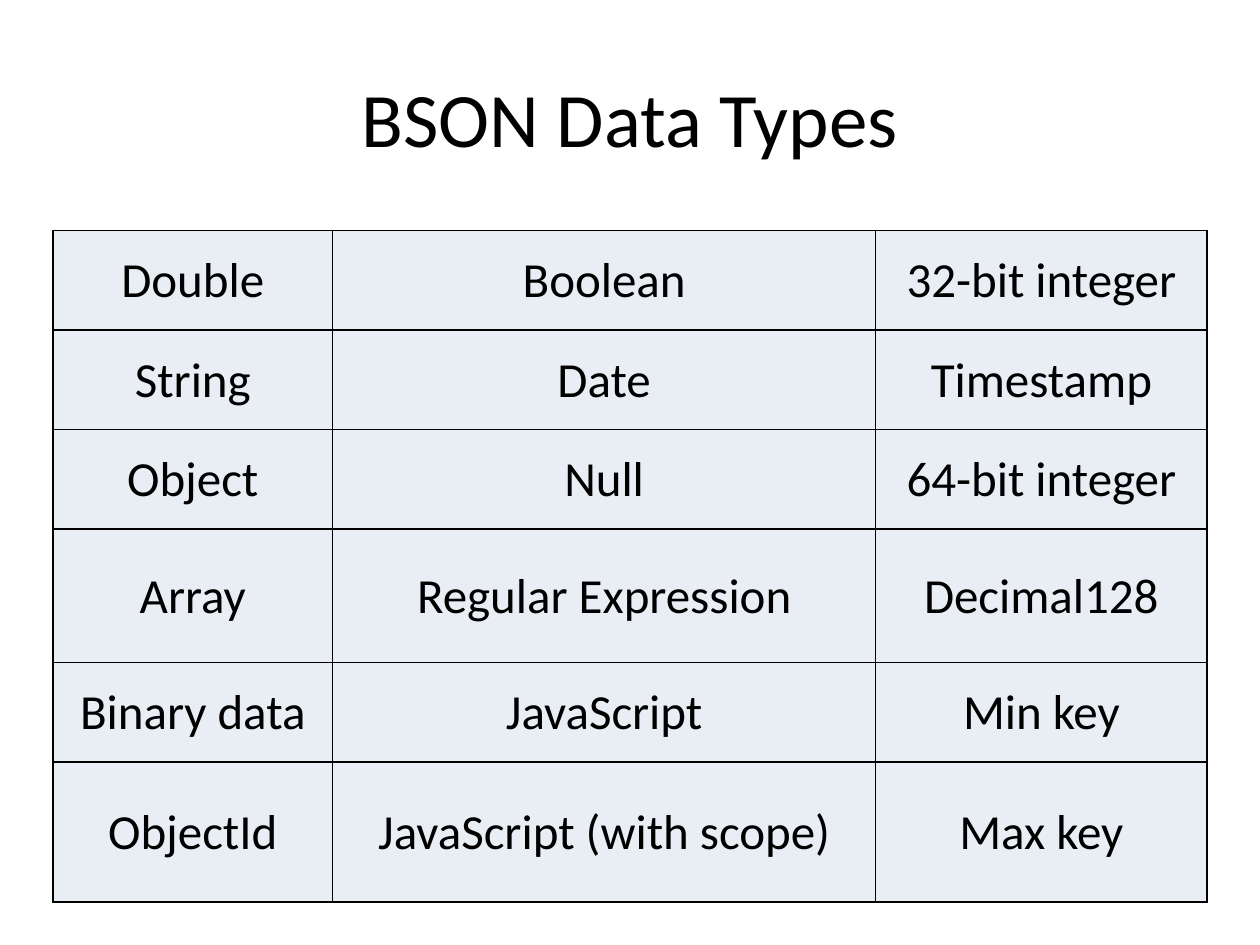
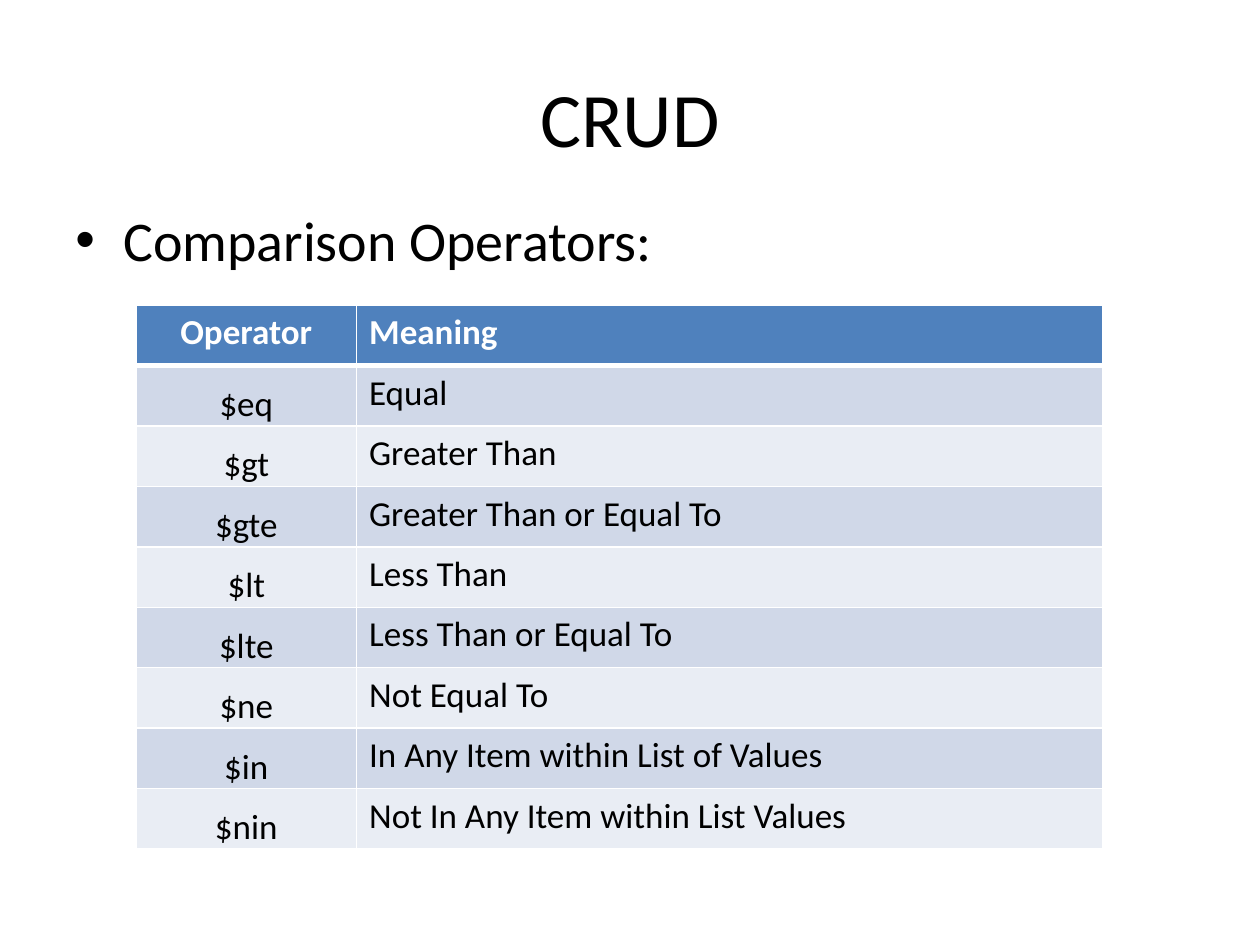
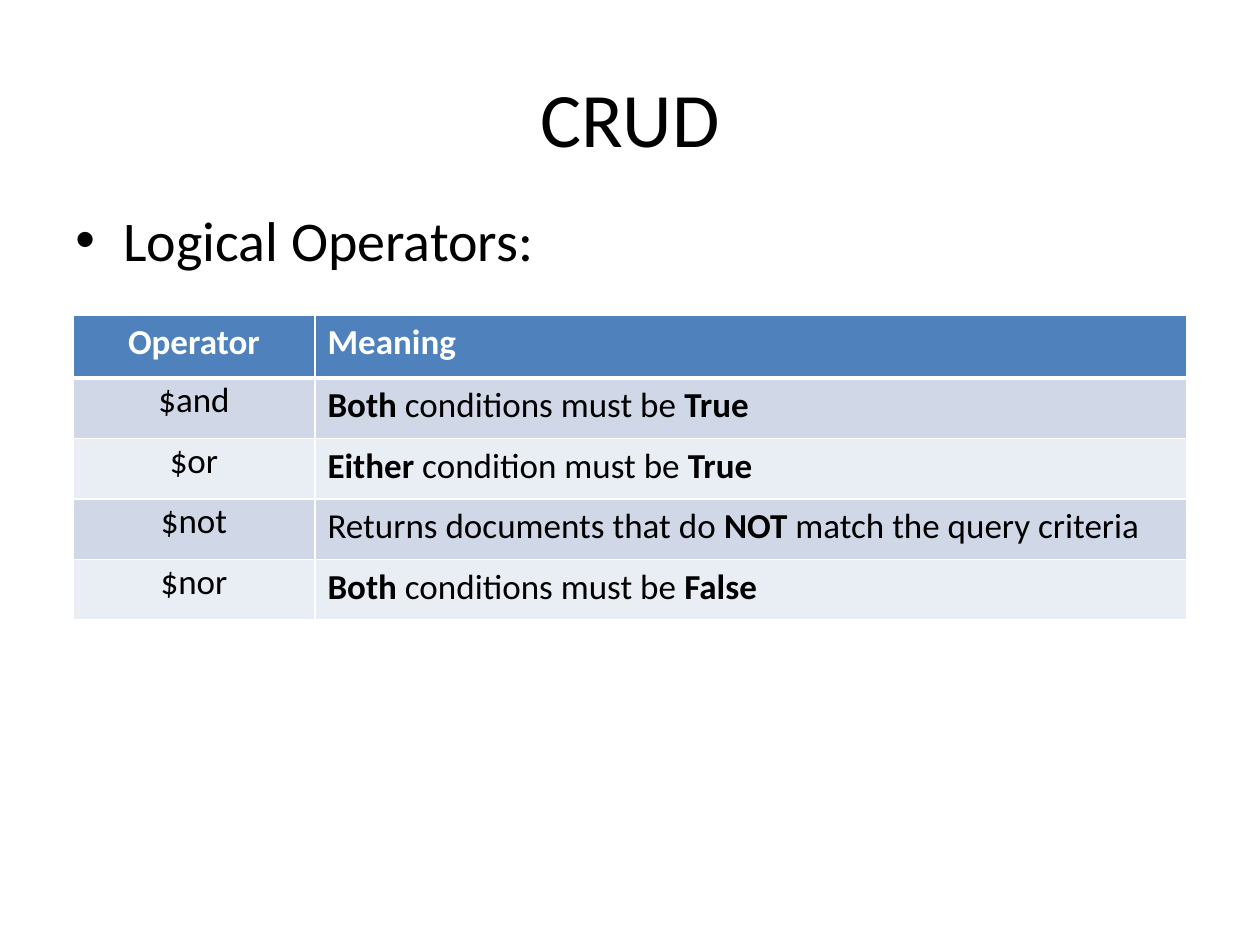
from dataclasses import dataclass

from lxml.etree import SubElement
from pptx import Presentation
from pptx.dml.color import RGBColor
from pptx.enum.text import MSO_ANCHOR, PP_ALIGN
from pptx.oxml import parse_xml
from pptx.oxml.ns import nsdecls, qn
from pptx.slide import Slide
from pptx.table import Table, _Cell
from pptx.text.text import Font, _Paragraph
from pptx.util import Inches, Pt

COLORS = {
    "text": "000000",
    "white": "FFFFFF",
    "header": "4F81BD",
    "dark_band": "D0D8E8",
    "light_band": "E9EDF4",
}
FONT = "Calibri"
TITLE_ONLY = 5
BOLD_MARK = "**"


@dataclass(frozen=True)
class CellStyle:
    align: PP_ALIGN = PP_ALIGN.LEFT
    anchor: MSO_ANCHOR = MSO_ANCHOR.TOP
    tight: bool = False


@dataclass(frozen=True)
class Grid:
    left: float
    top: float
    widths: tuple[float, ...]
    heights: tuple[float, ...]
    rows: tuple[tuple[str, ...], ...]
    columns: tuple[CellStyle, ...]
    size: int
    border: str
    has_header: bool


@dataclass(frozen=True)
class Topic:
    title: str
    grid: Grid
    bullet: str = ""


MEANING = CellStyle()
HEADINGS = ("Operator", "Meaning")
HEADING_STYLES = (CellStyle(PP_ALIGN.CENTER), MEANING)
DATA_TYPE = CellStyle(PP_ALIGN.CENTER, MSO_ANCHOR.MIDDLE, tight=True)


def operator_grid(left: float, top: float, widths: tuple[float, float], header_height: float,
                  anchor: MSO_ANCHOR, operators: tuple[tuple[str, str], ...]) -> Grid:
    operator = CellStyle(PP_ALIGN.CENTER, anchor, tight=True)
    return Grid(left, top, widths, (header_height,) + (0.48,) * len(operators),
                (HEADINGS,) + operators, (operator, MEANING), 20, "white", True)


TOPICS = (
    Topic("BSON Data Types", Grid(
        0.42, 1.83, (2.22, 4.31, 2.63), (0.79, 0.79, 0.79, 1.06, 0.79, 1.11),
        (
            ("Double", "Boolean", "32-bit integer"),
            ("String", "Date", "Timestamp"),
            ("Object", "Null", "64-bit integer"),
            ("Array", "Regular Expression", "Decimal128"),
            ("Binary data", "JavaScript", "Min key"),
            ("ObjectId", "JavaScript (with scope)", "Max key"),
        ),
        (DATA_TYPE,) * 3, 28, "text", False)),
    Topic("CRUD", operator_grid(
        1.08, 2.42, (1.75, 5.92), 0.48, MSO_ANCHOR.BOTTOM,
        (
            ("$eq", "Equal"),
            ("$gt", "Greater Than"),
            ("$gte", "Greater Than or Equal To"),
            ("$lt", "Less Than"),
            ("$lte", "Less Than or Equal To"),
            ("$ne", "Not Equal To"),
            ("$in", "In Any Item within List of Values"),
            ("$nin", "Not In Any Item within List Values"),
        )), "Comparison Operators:"),
    Topic("CRUD", operator_grid(
        0.58, 2.5, (1.92, 6.92), 0.5, MSO_ANCHOR.TOP,
        (
            ("$and", "**Both** conditions must be **True**"),
            ("$or", "**Either** condition must be **True**"),
            ("$not", "Returns documents that do **NOT** match the query criteria"),
            ("$nor", "**Both** conditions must be **False**"),
        )), "Logical Operators:"),
)


def style_font(font: Font, size: int, color: str = "text", bold: bool = False) -> None:
    font.name = FONT
    font.size = Pt(size)
    font.bold = bold
    font.color.rgb = RGBColor.from_string(COLORS[color])


def write_marked(paragraph: _Paragraph, text: str, size: int, color: str, bold: bool) -> None:
    """Write text whose parts between bold marks are bold."""
    for index, part in enumerate(text.split(BOLD_MARK)):
        if part:
            run = paragraph.add_run()
            run.text = part
            style_font(run.font, size, color, bold or index % 2 == 1)


def set_borders(cell: _Cell, color: str, top: int, bottom: int) -> None:
    properties = cell._tc.get_or_add_tcPr()
    edges = {"lnL": 1, "lnR": 1, "lnT": top, "lnB": bottom}
    for position, (edge, points) in enumerate(edges.items()):
        properties.insert(position, parse_xml(
            f'<a:{edge} {nsdecls("a")} w="{Pt(points)}"><a:solidFill>'
            f'<a:srgbClr val="{COLORS[color]}"/></a:solidFill></a:{edge}>'))


def fill_cell(cell: _Cell, text: str, style: CellStyle, fill: str,
              size: int, color: str, bold: bool) -> None:
    cell.fill.solid()
    cell.fill.fore_color.rgb = RGBColor.from_string(COLORS[fill])
    cell.vertical_anchor = style.anchor
    if style.tight:
        cell.margin_left = cell.margin_top = cell.margin_right = Inches(0.01)
        cell.margin_bottom = Inches(0)
    paragraph = cell.text_frame.paragraphs[0]
    paragraph.alignment = style.align
    write_marked(paragraph, text, size, color, bold)


def size_table(table: Table, grid: Grid) -> None:
    for column, width in zip(table.columns, grid.widths):
        column.width = Inches(width)
    for row, height in zip(table.rows, grid.heights):
        row.height = Inches(height)


def add_grid(slide: Slide, grid: Grid) -> None:
    table = slide.shapes.add_table(
        len(grid.rows), len(grid.widths), Inches(grid.left), Inches(grid.top),
        Inches(sum(grid.widths)), Inches(sum(grid.heights))).table
    table.first_row = grid.has_header
    table.horz_banding = False
    size_table(table, grid)
    for r, row in enumerate(grid.rows):
        heading = grid.has_header and r == 0
        if heading:
            fill = "header"
        else:
            fill = "dark_band" if grid.has_header and r % 2 else "light_band"
        styles = HEADING_STYLES if heading else grid.columns
        for c, (text, style) in enumerate(zip(row, styles)):
            cell = table.cell(r, c)
            fill_cell(cell, text, style, fill, grid.size, "white" if heading else "text", heading)
            set_borders(cell, grid.border, top=3 if grid.has_header and r == 1 else 1,
                        bottom=3 if heading else 1)


def add_title(slide: Slide, text: str) -> None:
    title = slide.shapes.title
    title.left, title.top = Inches(0.5), Inches(0.3)
    title.width, title.height = Inches(9), Inches(1.25)
    title.text_frame.text = text
    title.text_frame.vertical_anchor = MSO_ANCHOR.MIDDLE
    paragraph = title.text_frame.paragraphs[0]
    paragraph.alignment = PP_ALIGN.CENTER
    style_font(paragraph.runs[0].font, 44)


def add_bullet(slide: Slide, text: str) -> None:
    frame = slide.shapes.add_textbox(
        Inches(0.5), Inches(1.58), Inches(9.08), Inches(5.5)).text_frame
    frame.word_wrap = True
    paragraph = frame.paragraphs[0]
    paragraph.text = text
    paragraph.space_before = Pt(6.4)
    style_font(paragraph.runs[0].font, 32)
    properties = paragraph._p.get_or_add_pPr()
    properties.set("marL", str(Inches(0.38)))
    properties.set("indent", str(Inches(-0.38)))
    SubElement(properties, qn("a:buFont"), typeface="Arial")
    SubElement(properties, qn("a:buChar"), char="•")


def main() -> None:
    deck = Presentation()
    deck.slide_width, deck.slide_height = Inches(10), Inches(7.5)
    for topic in TOPICS:
        slide = deck.slides.add_slide(deck.slide_layouts[TITLE_ONLY])
        add_title(slide, topic.title)
        if topic.bullet:
            add_bullet(slide, topic.bullet)
        add_grid(slide, topic.grid)
    deck.save("out.pptx")


if __name__ == "__main__":
    main()
